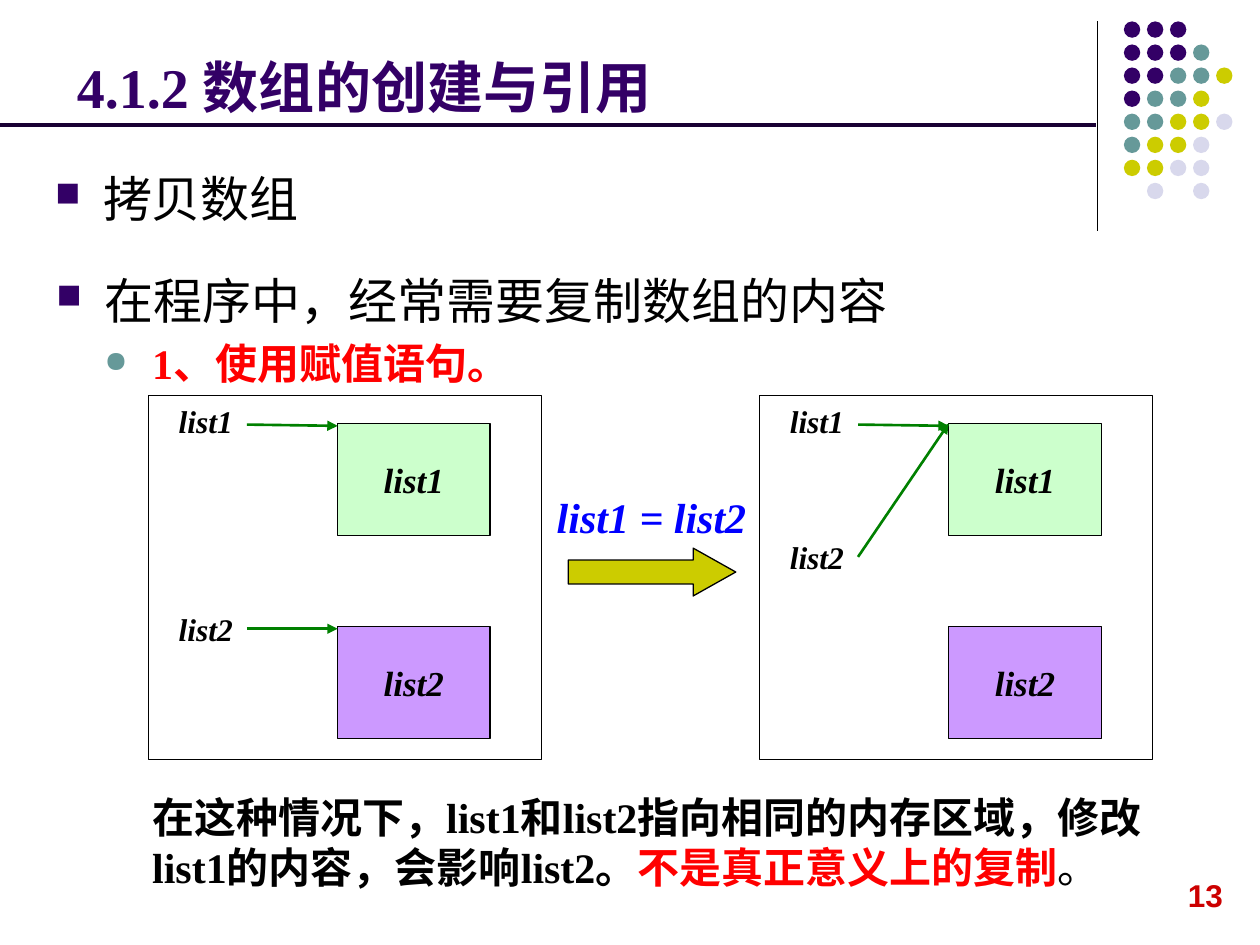
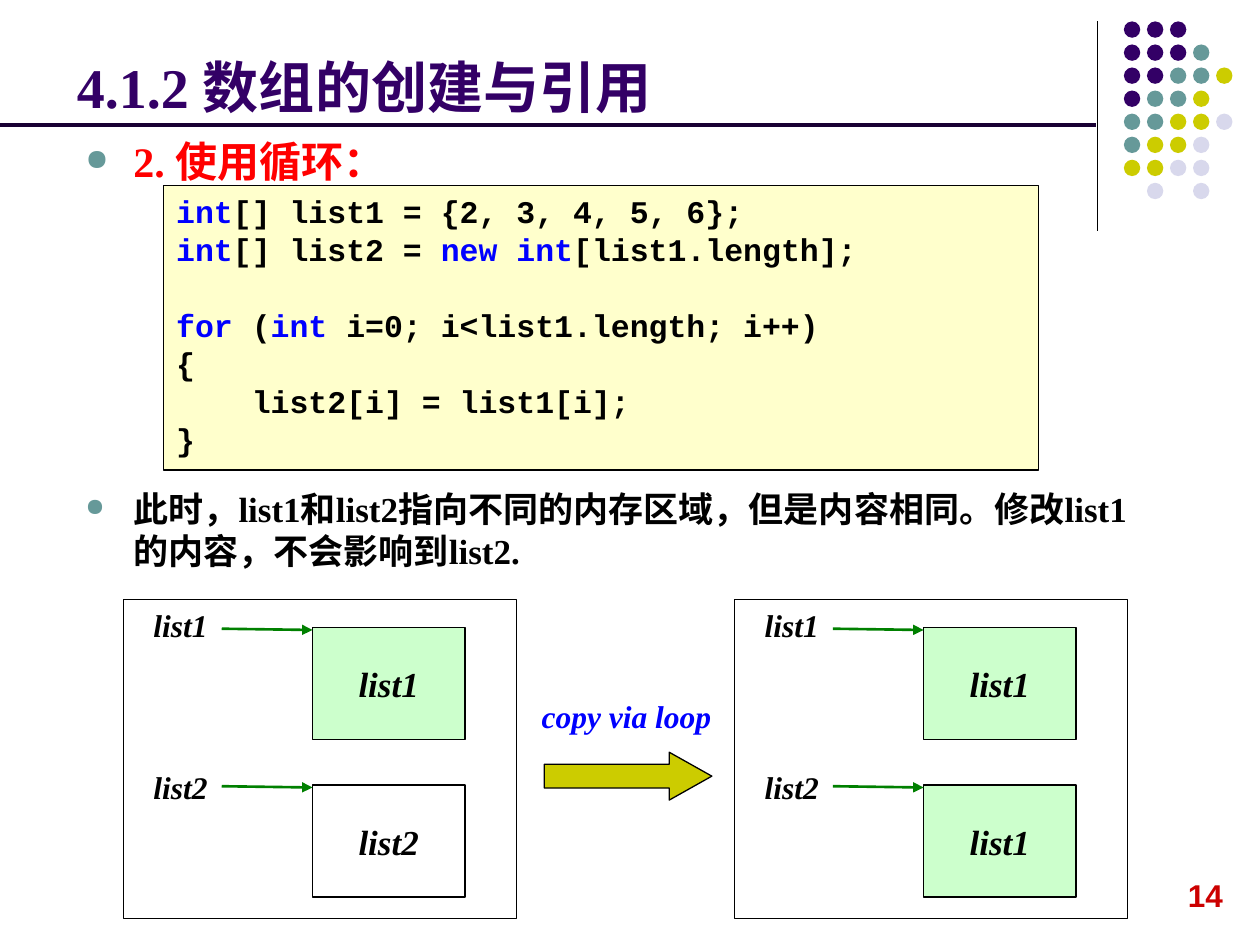
import pptx
import pptx.util
import pptx.dml.color
import pptx.enum.shapes
import pptx.enum.text
import pptx.oxml.ns
import lxml.etree

RGB = pptx.dml.color.RGBColor
SHAPE = pptx.enum.shapes.MSO_SHAPE
ALIGN = pptx.enum.text.PP_ALIGN
ANCHOR = pptx.enum.text.MSO_ANCHOR
Pt = pptx.util.Pt

BLACK = RGB(0, 0, 0)
PLUM = RGB(0x33, 0, 0x66)
TEAL = RGB(0x66, 0x99, 0x99)
LIME = RGB(0xCC, 0xCC, 0)
PALE = RGB(0xD8, 0xD8, 0xEC)
DARK = RGB(0x19, 0, 0x33)
RED = RGB(0xFF, 0, 0)
CRIMSON = RGB(0xCC, 0, 0)
BLUE = RGB(0, 0, 0xFF)
GREEN = RGB(0, 0x80, 0)
MINT = RGB(0xCC, 0xFF, 0xCC)
LILAC = RGB(0xCC, 0x99, 0xFF)
CREAM = RGB(0xFF, 0xFF, 0xCC)

SERIF = "Times New Roman"
HAN = "Noto Sans CJK SC"
MONO = "Courier New"

WIDTH = pptx.util.Inches(10)
HEIGHT = pptx.util.Inches(7.5)
COLS, ROWS = 100, 75

HEADING = "4.1.2 数组的创建与引用"
DOTS = ["PPP", "PPPT", "PPTTY", "PTTY", "TTYYL", "TYYL", "YYLL", " L L"]
INKS = {"P": PLUM, "T": TEAL, "Y": LIME, "L": PALE}
PITCH, DOT = 1.83, 1.3
SQUARE = ("■", PLUM)
ROUND = ("●", TEAL)
PANEL_W, CELL_W, CELL_H = 31.2, 12.1, 8.9
CELL_X, TAIL_X, LABEL_X = 15, 7.8, 1.4


def across(cols):
    return round(WIDTH * cols / COLS)


def down(rows):
    return round(HEIGHT * rows / ROWS)


def place(box):
    x, y, w, h = box
    return across(x), down(y), across(w), down(h)


def node(parent, tag, **attrs):
    return lxml.etree.SubElement(parent, pptx.oxml.ns.qn(tag), attrs)


def write(par, parts, size, face=SERIF, bold=True, slant=False):
    for text, ink, *weight in parts:
        run = par.add_run()
        run.text = text
        font = run.font
        font.size, font.name = Pt(size), face
        font.bold = weight[0] if weight else bold
        font.italic = slant
        font.color.rgb = ink
        node(font._element, "a:ea", typeface=HAN)


def mark(par, level, bullet):
    props = par._p.get_or_add_pPr()
    props.set("marL", str(across(3.8 * level)))
    if not bullet:
        props.set("indent", "0")
        return
    char, ink = bullet
    props.set("indent", str(-across(3.8)))
    node(node(props, "a:buClr"), "a:srgbClr", val=str(ink))
    node(props, "a:buSzPct", val="70000")
    node(props, "a:buChar", char=char)


def block(slide, box, items):
    frame = slide.shapes.add_textbox(*place(box)).text_frame
    frame.word_wrap = True
    for i, (level, bullet, size, face, bold, parts) in enumerate(items):
        par = frame.add_paragraph() if i else frame.paragraphs[0]
        mark(par, level, bullet)
        par.line_spacing = Pt(1.2 * size)
        par.space_before = Pt(0.2 * size if i else 0)
        write(par, parts, size, face, bold)


def label(slide, box, text, size=18, ink=BLACK, face=SERIF, slant=True):
    frame = slide.shapes.add_textbox(*place(box)).text_frame
    frame.word_wrap = False
    write(frame.paragraphs[0], [(text, ink)], size, face, slant=slant)


def draw(shapes, kind, box, fill=None, edge=BLACK):
    shape = shapes.add_shape(kind, *place(box))
    shape.shadow.inherit = False
    if fill is None:
        shape.fill.background()
    else:
        shape.fill.solid()
        shape.fill.fore_color.rgb = fill
    if edge is None:
        shape.line.fill.background()
    else:
        shape.line.color.rgb = edge
        shape.line.width = Pt(0.75)
    return shape


def rule(slide, start, end, ink, width, arrow=False):
    ends = [f(v) for point in (start, end) for f, v in zip((across, down), point)]
    line = slide.shapes.add_connector(pptx.enum.shapes.MSO_CONNECTOR.STRAIGHT, *ends)
    line.line.color.rgb = ink
    line.line.width = Pt(width)
    if arrow:
        node(line.line._get_or_add_ln(), "a:tailEnd", type="triangle")
    node(line._element.spPr, "a:effectLst")


def dots(slide, x, y):
    group = slide.shapes.add_group_shape()
    for row, line in enumerate(DOTS):
        for col, key in enumerate(line):
            if key in INKS:
                box = (x + col * PITCH, y + row * PITCH, DOT, DOT)
                draw(group.shapes, SHAPE.OVAL, box, INKS[key], None)


def base(deck, number):
    slide = deck.slides.add_slide(deck.slide_layouts[5])
    title = slide.shapes.title
    title.left, title.top, title.width, title.height = place((5.1, 2.1, 82.5, 7.9))
    frame = title.text_frame
    frame.auto_size = pptx.enum.text.MSO_AUTO_SIZE.NONE
    frame.vertical_anchor = ANCHOR.BOTTOM
    frame.paragraphs[0].alignment = ALIGN.LEFT
    write(frame.paragraphs[0], [(HEADING, PLUM)], 32)
    rule(slide, (87.1, 1.7), (87.1, 18.3), BLACK, 0.75)
    rule(slide, (0, 9.9), (87, 9.9), DARK, 2.25)
    dots(slide, 89.2, 1.7)
    label(slide, (93.3, 69, 4.8, 4), number, ink=CRIMSON, face="Arial", slant=False)
    return slide


def panel(slide, x, y, height, cells, links):
    for name, row, fill in cells:
        cell = draw(slide.shapes, SHAPE.RECTANGLE,
                    (x + CELL_X, y + row, CELL_W, CELL_H), fill)
        frame = cell.text_frame
        frame.word_wrap = False
        frame.vertical_anchor = ANCHOR.MIDDLE
        frame.paragraphs[0].alignment = ALIGN.CENTER
        write(frame.paragraphs[0], [(name, BLACK)], 20, slant=True)
    for name, row, tail, head in links:
        rule(slide, (x + TAIL_X, y + tail), (x + CELL_X, y + head), GREEN, 1.5, True)
        label(slide, (x + LABEL_X, y + row, 6.3, 4), name)
    draw(slide.shapes, SHAPE.RECTANGLE, (x, y, PANEL_W, height))


def step(slide, x, y, text, box, size):
    arrow = draw(slide.shapes, SHAPE.RIGHT_ARROW, (x, y, 13.3, 3.8), LIME)
    arrow.adjustments[0], arrow.adjustments[1] = 0.5, 0.89
    dx, dy, w, h = box
    label(slide, (x + dx, y + dy, w, h), text, size, BLUE)


def code(slide, box, lines):
    card = draw(slide.shapes, SHAPE.RECTANGLE, box, CREAM)
    frame = card.text_frame
    frame.word_wrap = False
    frame.vertical_anchor = ANCHOR.TOP
    for i, parts in enumerate(lines):
        par = frame.add_paragraph() if i else frame.paragraphs[0]
        par.alignment = ALIGN.LEFT
        par.line_spacing = Pt(21.7)
        write(par, parts, 18, MONO)


def assign(deck):
    slide = base(deck, "13")
    block(slide, (3.4, 12.9, 30, 5.7),
          [(1, SQUARE, 28, HAN, False, [("拷贝数组", BLACK)])])
    block(slide, (3.5, 21, 90, 10), [
        (1, SQUARE, 28, HAN, False, [("在程序中，经常需要复制数组的内容", BLACK)]),
        (2, ROUND, 24, SERIF, True, [("1、使用赋值语句。", RED)])])
    block(slide, (3.5, 62.3, 90, 12.5), [(2, None, 24, SERIF, True, [
        ("在这种情况下，list1和list2指向相同的内存区域，"
         "修改list1的内容，会影响list2。", BLACK),
        ("不是真正意义上的复制", RED),
        ("。", BLACK, False)])])
    cells = [("list1", 2.2, MINT), ("list2", 18.3, LILAC)]
    first = ("list1", 0, 2.3, 2.4)
    panel(slide, 11.8, 31.4, 28.9, cells, [first, ("list2", 16.5, 18.5, 18.5)])
    panel(slide, 60.3, 31.4, 28.9, cells, [first, ("list2", 10.8, 12.8, 2.2)])
    step(slide, 45.1, 43.5, "list1 = list2", (-1.9, -5, 17.2, 5), 24)


def loop(deck):
    slide = base(deck, "14")
    block(slide, (2, 10.3, 90, 5),
          [(2, ROUND, 24, SERIF, True, [("2. 使用循环：", RED)])])
    block(slide, (2, 38.2, 90, 8), [(2, ROUND, 20, SERIF, True, [
        ("此时，list1和list2指向不同的内存区域，但是内容相同。"
         "修改list1的内容，不会影响到list2.", BLACK)])])
    code(slide, (13, 14.7, 69.4, 22.6), [
        [("int", BLUE), ("[] list1 = {2, 3, 4, 5, 6};", BLACK)],
        [("int", BLUE), ("[] list2 = ", BLACK), ("new int", BLUE),
         ("[list1.length];", BLACK)],
        [],
        [("for", BLUE), (" (", BLACK), ("int", BLUE),
         (" i=0; i<list1.length; i++)", BLACK)],
        [("{", BLACK)],
        [("    list2[i] = list1[i];", BLACK)],
        [("}", BLACK)]])
    links = [("list1", 0, 2.3, 2.4), ("list2", 12.9, 14.8, 14.9)]
    top = ("list1", 2.2, MINT)
    panel(slide, 9.8, 47.6, 25.3, [top, ("list2", 14.7, None)], links)
    panel(slide, 58.3, 47.6, 25.3, [top, ("list1", 14.7, MINT)], links)
    step(slide, 43.2, 59.7, "copy via loop", (-1.2, -4.9, 15.5, 4), 18)


def main():
    deck = pptx.Presentation()
    deck.slide_width, deck.slide_height = WIDTH, HEIGHT
    assign(deck)
    loop(deck)
    deck.save("out.pptx")


if __name__ == "__main__":
    main()
